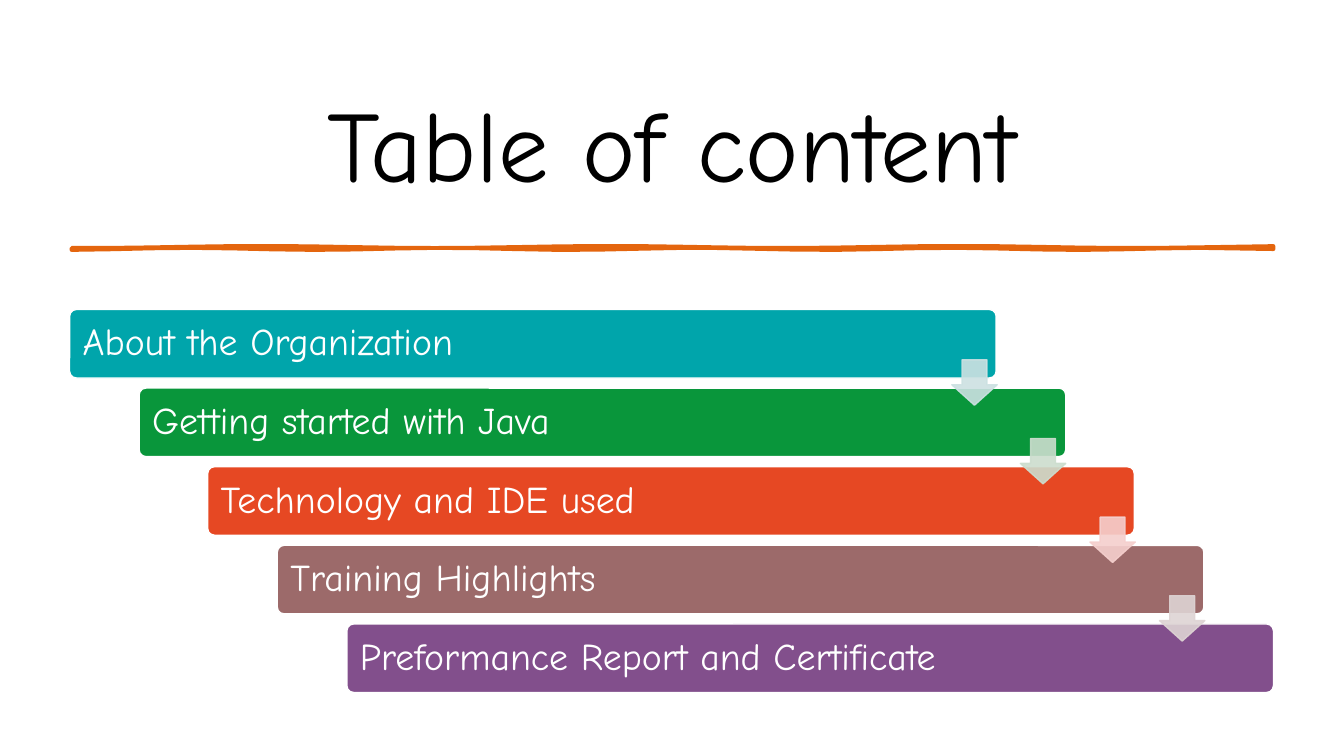
from math import sin

from lxml import etree
from pptx import Presentation
from pptx import util as u
from pptx.dml.color import RGBColor
from pptx.enum import shapes, text
from pptx.oxml.ns import qn

PX = 9144  # EMU per px, 100 px to the inch
FONT = "Comic Neue"
COLORS = {
    "title": "000000",
    "white": "FFFFFF",
    "rule": "E4650E",
    "teal": "00A5AB",
    "green": "09963B",
    "red": "E64823",
    "brown": "9C6A6A",
    "purple": "824F8C",
    "pale teal": "CCE1E2",
    "pale green": "CCDDCE",
    "pale red": "F5CFCD",
    "pale brown": "DED4D4",
}
TOPICS = [
    ("About the Organization", "teal"),
    ("Getting started with Java", "green"),
    ("Technology and IDE used", "red"),
    ("Training Highlights", "brown"),
    ("Preformance Report and Certificate", "purple"),
]
STEP_X, STEP_Y = 68.75, 78


def paint(shape, fill, line, width):
    shape.shadow.inherit = False
    shape.fill.solid()
    shape.fill.fore_color.rgb = RGBColor.from_string(COLORS[fill])
    shape.line.color.rgb = RGBColor.from_string(COLORS[line])
    shape.line.width = u.Pt(width)


def write(shape, words, size, color, align, spacing):
    frame = shape.text_frame
    frame.text = words
    frame.word_wrap = True
    frame.auto_size = text.MSO_AUTO_SIZE.NONE
    frame.vertical_anchor = text.MSO_ANCHOR.MIDDLE
    para = frame.paragraphs[0]
    para.alignment = align
    para.line_spacing = spacing
    para.font.name = FONT
    para.font.size = u.Pt(size)
    para.font.color.rgb = RGBColor.from_string(COLORS[color])


deck = Presentation()
deck.slide_width, deck.slide_height = 1333 * PX, 750 * PX
page = deck.slides.add_slide(deck.slide_layouts[5])
title = page.shapes.title

# White backdrop behind the title
backdrop = page.shapes.add_shape(
    shapes.MSO_SHAPE.RECTANGLE, 0, 0, deck.slide_width, deck.slide_height)
paint(backdrop, "white", "white", 1)
backdrop.line.fill.background()
title.element.addprevious(backdrop.element)

# Title
title.left, title.top, title.width, title.height = 69 * PX, 69 * PX, 1194 * PX, 144 * PX
write(title, "Table of content", 72, "title", text.PP_ALIGN.CENTER, 1.0)

# Hand-drawn rule: two edges that waver independently
xs = range(71, 1264, 149 // 4 + 3)
xs = [*xs[:-1], 1263]
lower = [(x * PX, round((247 + sin(x / 40)) * PX)) for x in xs]
upper = [(x * PX, round((245 + sin(x / 55)) * PX)) for x in reversed(xs)]
outline = page.shapes.build_freeform(*lower[0])
outline.add_line_segments(lower[1:] + upper, close=True)
paint(outline.convert_to_shape(), "rule", "rule", 2.75)

# Staircase of topics
for i, (topic, color) in enumerate(TOPICS):
    bar = page.shapes.add_shape(
        shapes.MSO_SHAPE.ROUNDED_RECTANGLE,
        round(69 + i * STEP_X) * PX, (307 + i * STEP_Y) * PX, 919 * PX, 68 * PX)
    bar.adjustments[0] = 0.1
    paint(bar, color, "white", 1)
    write(bar, topic, 27, "white", text.PP_ALIGN.LEFT, 0.9)
    bar.text_frame.margin_left = bar.text_frame.margin_right = 11 * PX

# Translucent arrows from each topic to the next
for i, (topic, color) in enumerate(TOPICS[:-1]):
    arrow = page.shapes.add_shape(
        shapes.MSO_SHAPE.DOWN_ARROW,
        int(944 + i * STEP_X) * PX, (357 + i * STEP_Y) * PX, 45 * PX, 45 * PX)
    arrow.adjustments[0], arrow.adjustments[1] = 0.55, 0.45
    paint(arrow, "pale " + color, "pale " + color, 1)
    for tint in arrow.element.spPr.iter(qn("a:srgbClr")):
        etree.SubElement(tint, qn("a:alpha")).set("val", "90000")

deck.save("out.pptx")
